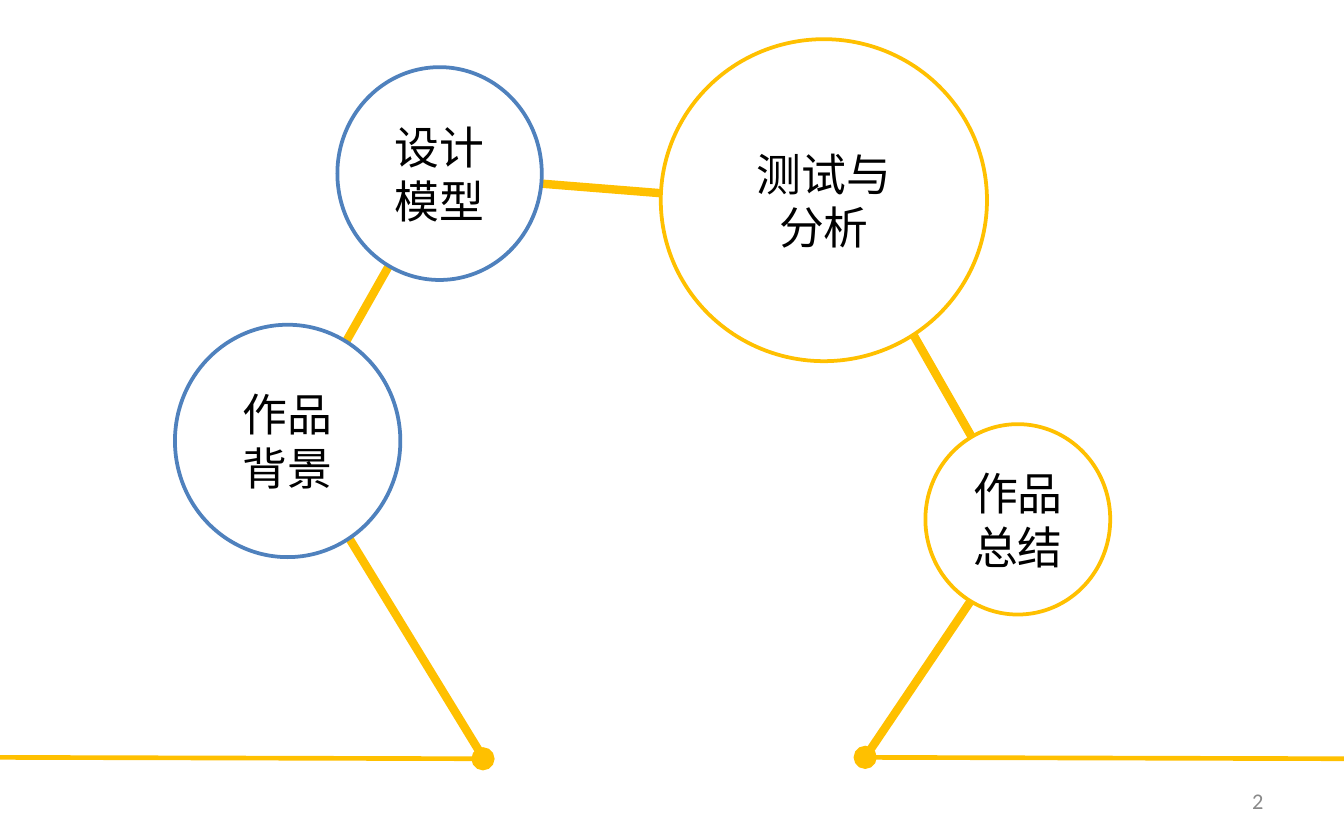
from pptx import Presentation
from pptx.dml.color import RGBColor
from pptx.enum.shapes import MSO_CONNECTOR as CONN, MSO_SHAPE as SHAPE
from pptx.enum.text import MSO_ANCHOR as ANCHOR, PP_ALIGN as ALIGN
from pptx.oxml.ns import qn
from pptx.util import Pt
from lxml.etree import SubElement

PX = 9525
WHITE = RGBColor(0xFF, 0xFF, 0xFF)
BLACK = RGBColor(0, 0, 0)
GRAY = RGBColor(0x89, 0x89, 0x89)
AMBER = RGBColor(0xFF, 0xC0, 0x00)
BLUE = RGBColor(0x4F, 0x81, 0xBD)
CJK_FONT = "Noto Sans CJK SC"

LEFT_DOT, RIGHT_DOT = (345, 541), (618, 541)
BACKGROUND, SUMMARY = (207, 315), (730, 375)
GROUND_LINES = [
    ((-7, 541), (345, 542), ["tailEnd"]),
    (RIGHT_DOT, (970, 542), ["headEnd"]),
]
LINKS = [
    (BACKGROUND, LEFT_DOT, ["headEnd"]),
    (BACKGROUND, (314, 126), ["headEnd", "tailEnd"]),
    ((322, 126), (609, 149), ["headEnd", "tailEnd"]),
    ((601, 149), SUMMARY, []),
    (SUMMARY, RIGHT_DOT, []),
]
CIRCLES = [
    ((241, 48, 146, 152), BLUE, "设计模型"),
    ((472, 28, 233, 230), AMBER, "测试与\n分析"),
    ((661, 303, 132, 136), AMBER, "作品总结"),
    ((125, 232, 161, 166), BLUE, "作品背景"),
]


def px(*values):
    """Turn px lengths into EMU."""
    return [v * PX for v in values]


def add_line(s, start, end, width, ovals, size):
    """Draw an amber line with oval ends where named."""
    cxn = s.shapes.add_connector(CONN.STRAIGHT, *px(*start, *end))
    cxn.line.color.rgb = AMBER
    cxn.line.width = Pt(width)
    ln = cxn.line._get_or_add_ln()
    for name in ovals:
        SubElement(ln, qn(f"a:{name}"), type="oval", w=size, len=size)
    SubElement(cxn._element.spPr, qn("a:effectLst"))


def set_text(sp, text, size, color, font, align):
    """Fill a shape with text in one style."""
    tf = sp.text_frame
    tf.text = text
    tf.word_wrap = True
    tf.vertical_anchor = ANCHOR.MIDDLE
    for p in tf.paragraphs:
        p.alignment = align
        for r in p.runs:
            r.font.size = Pt(size)
            r.font.name = font
            r.font.color.rgb = color
            SubElement(r.font._element, qn("a:ea"), typeface=font)


def add_circle(s, box, color, text):
    """Draw a white outlined circle holding a topic."""
    sp = s.shapes.add_shape(SHAPE.OVAL, *px(*box))
    sp.shadow.inherit = False
    sp.fill.solid()
    sp.fill.fore_color.rgb = WHITE
    sp.line.color.rgb = color
    sp.line.width = Pt(2)
    set_text(sp, text, 24, BLACK, CJK_FONT, ALIGN.CENTER)


def add_page_number(s, number):
    """Write the page number at the lower right."""
    sp = s.shapes.add_textbox(*px(688, 556, 224, 32))
    set_text(sp, number, 12, GRAY, "Calibri", ALIGN.RIGHT)


def main():
    """Build the slide and save it."""
    prs = Presentation()
    prs.slide_width, prs.slide_height = px(960, 600)
    s = prs.slides.add_slide(prs.slide_layouts[6])
    for start, end, ovals in GROUND_LINES:
        add_line(s, start, end, 2.5, ovals, "lg")
    for start, end, ovals in LINKS:
        add_line(s, start, end, 4.5, ovals, "med")
    for box, color, text in CIRCLES:
        add_circle(s, box, color, text)
    add_page_number(s, "2")
    prs.save("out.pptx")


if __name__ == "__main__":
    main()
